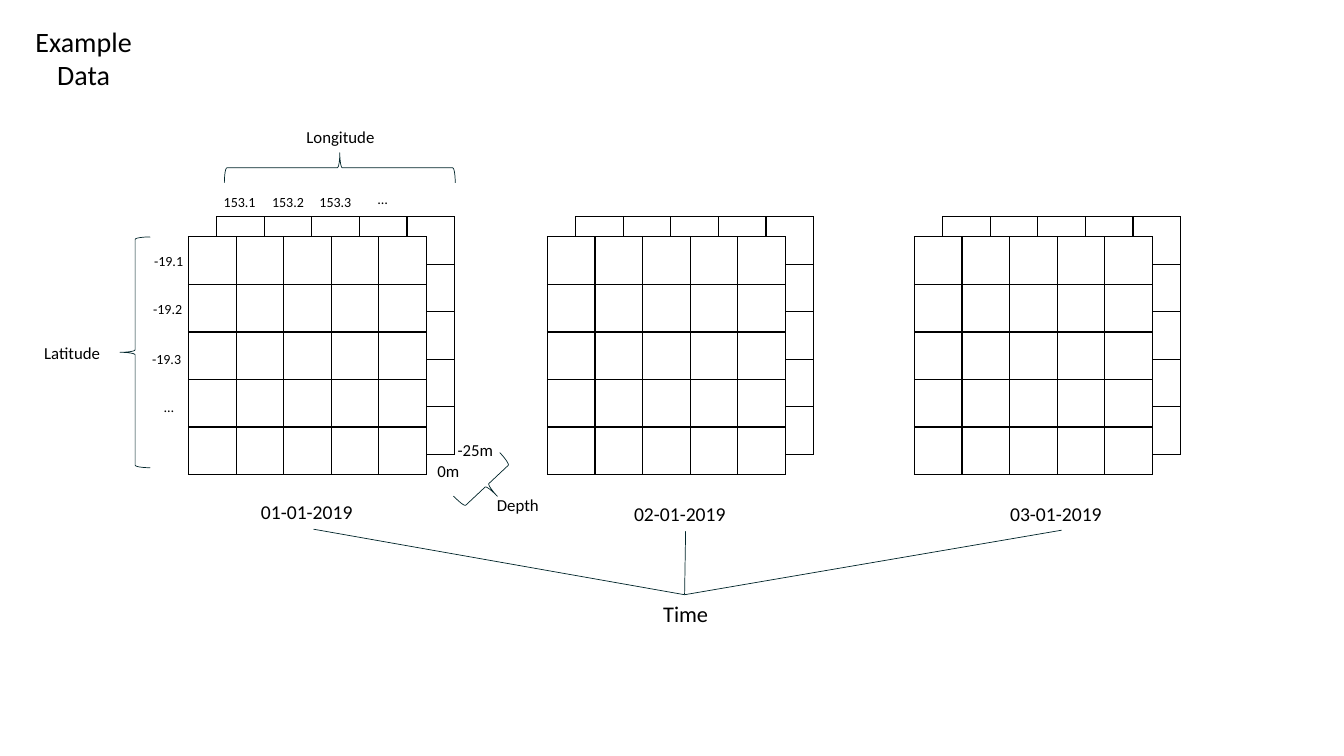
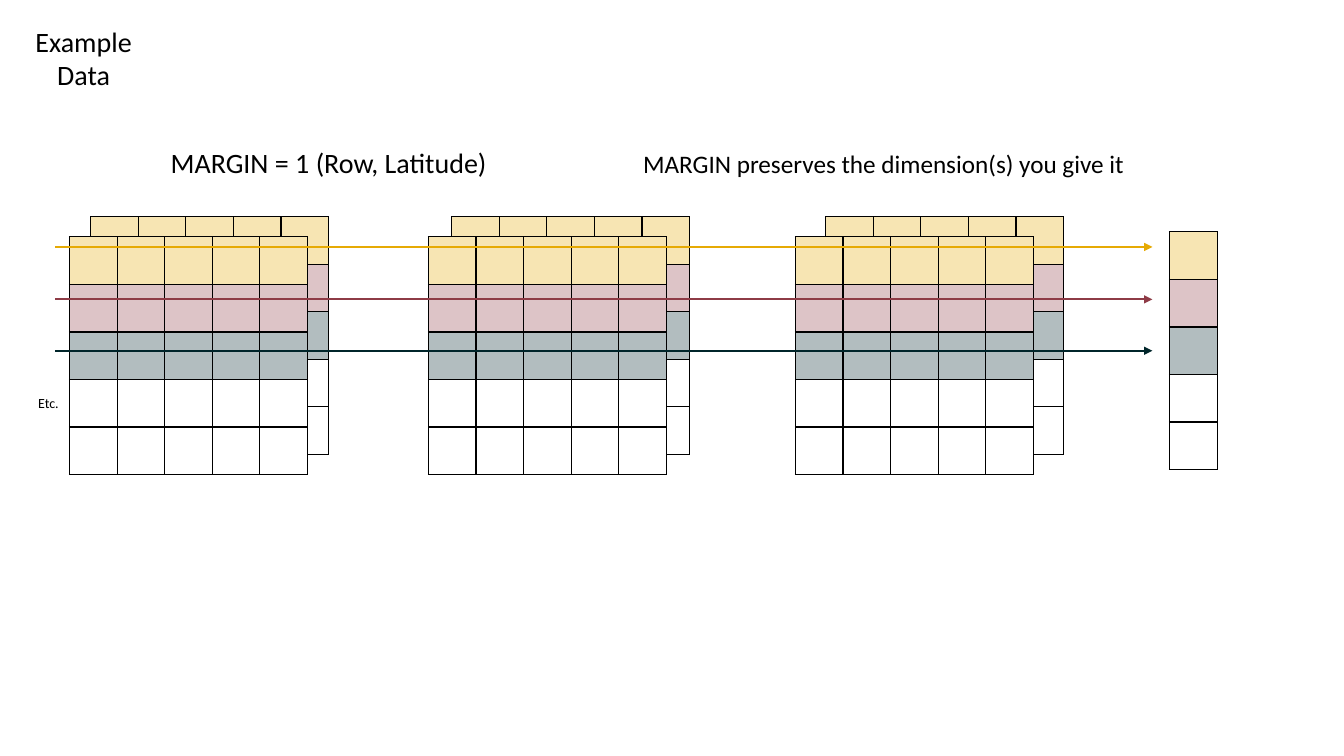
"""Build two slides that explain gridded example data and the MARGIN argument."""
from lxml.etree import SubElement
from pptx import Presentation
from pptx.dml.color import RGBColor as Rgb
from pptx.enum.shapes import MSO_CONNECTOR as Connector, MSO_SHAPE as Shape
from pptx.enum.text import MSO_AUTO_SIZE as AutoSize, PP_ALIGN as Align
from pptx.oxml.ns import qn
from pptx.util import Inches, Pt

COLORS = {
    "black": "000000", "white": "FFFFFF", "ink": "00252A",
    "gold": "E6AA04", "wine": "8E3B46",
    "pale_gold": "F7E5B3", "pale_wine": "DDC4C7", "pale_ink": "B2BDBF",
}
FONT = "Calibri"
SIZE = 5
GRID = 2.36
CELL = GRID / SIZE
BACK_TOP, FRONT_TOP = 2.15, 2.35
PLAIN_ROWS = ["white"] * SIZE
BAND_ROWS = ["pale_gold", "pale_wine", "pale_ink", "white", "white"]


def color(name):
    return Rgb.from_string(COLORS[name])


def apply_format(target, values):
    for name, value in values.items():
        setattr(target, name, value)


def add_text(slide, text, left, top, width, height, size, align=Align.LEFT):
    box = slide.shapes.add_textbox(
        Inches(left), Inches(top), Inches(width), Inches(height))
    frame = box.text_frame
    apply_format(frame, {"word_wrap": True, "auto_size": AutoSize.SHAPE_TO_FIT_TEXT})
    paragraph = frame.paragraphs[0]
    paragraph.alignment = align
    run = paragraph.add_run()
    run.text = text
    apply_format(run.font, {"name": FONT, "size": Pt(size)})
    run.font.color.rgb = color("black")


def add_title(slide):
    add_text(slide, "Example Data", 0.13, 0.19, 1.4, 0.77, 20, Align.CENTER)


def add_borders(cell):
    properties = cell._tc.get_or_add_tcPr()
    for side in ("lnL", "lnR", "lnT", "lnB"):
        border = SubElement(properties, qn(f"a:{side}"), w=str(Pt(1)))
        fill = SubElement(border, qn("a:solidFill"))
        SubElement(fill, qn("a:srgbClr"), val=COLORS["black"])


def add_grid(slide, left, top, row_colors, columns=SIZE, edges_only=False):
    table = slide.shapes.add_table(
        len(row_colors), columns, Inches(left), Inches(top),
        Inches(CELL * columns), Inches(GRID)).table
    apply_format(table, {"first_row": False, "horz_banding": False})
    for row, name in enumerate(row_colors):
        for column in range(columns):
            cell = table.cell(row, column)
            add_borders(cell)
            covered = edges_only and row > 0 and column < columns - 1
            cell.fill.solid()
            cell.fill.fore_color.rgb = color("white" if covered else name)


def add_stack(slide, back_left, front_left, row_colors):
    add_grid(slide, back_left, BACK_TOP, row_colors, edges_only=True)
    add_grid(slide, front_left, FRONT_TOP, row_colors)


def add_brace(slide, left, top, height, rotation):
    brace = slide.shapes.add_shape(
        Shape.RIGHT_BRACE, Inches(left), Inches(top), Inches(0.3), Inches(height))
    brace.rotation = rotation
    brace.shadow.inherit = False
    brace.fill.background()
    brace.line.color.rgb = color("ink")
    brace.line.width = Pt(0.5)


def add_line(slide, start, end, name, width, arrow=False):
    connector = slide.shapes.add_connector(
        Connector.STRAIGHT, *(Inches(value) for value in (*start, *end)))
    connector.line.color.rgb = color(name)
    connector.line.width = Pt(width)
    properties = connector._element.spPr
    if arrow:
        SubElement(properties.find(qn("a:ln")), qn("a:tailEnd"), type="triangle")
    SubElement(properties, qn("a:effectLst"))


def build_dimensions(slide):
    for front_left in (1.87, 5.43, 9.07):
        add_stack(slide, front_left + 0.28, front_left, PLAIN_ROWS)

    for text, left, top, width in (
            ("0m", 4.24, 4.52, 0.54), ("-25m", 4.44, 4.31, 0.82),
            ("Depth", 4.83, 4.86, 0.82), ("Latitude", 0.34, 3.35, 0.82),
            ("Longitude", 2.94, 1.21, 0.92)):
        add_text(slide, text, left, top, width, 0.3, 12)

    for text, left, top in (
            ("153.1", 2.12, 1.87), ("153.2", 2.6, 1.87), ("153.3", 3.07, 1.87),
            ("…", 3.65, 1.84), ("-19.1", 1.43, 2.46), ("-19.2", 1.42, 2.93),
            ("-19.3", 1.41, 3.43), ("…", 1.53, 3.9)):
        add_text(slide, text, left, top, 0.58, 0.27, 10)

    for left, top, height, rotation in (
            (3.22, 0.52, 2.29, 270), (1.19, 2.35, 2.29, 180),
            (4.68, 4.5, 0.63, 46.8)):
        add_brace(slide, left, top, height, rotation)

    add_text(slide, "Time", 6.39, 5.9, 0.82, 0.37, 16, Align.CENTER)
    for text, left, top, end in (
            ("01-01-2019", 2.49, 4.91, (3.11, 5.25)),
            ("02-01-2019", 6.19, 4.93, (6.8, 5.27)),
            ("03-01-2019", 9.92, 4.93, (10.53, 5.26))):
        add_text(slide, text, left, top, 1.23, 0.34, 14)
        add_line(slide, (6.79, 5.9), end, "ink", 0.5)


def build_margin(slide):
    for back_left, front_left in ((0.9, 0.69), (4.48, 4.25), (8.19, 7.89)):
        add_stack(slide, back_left, front_left, BAND_ROWS)
    add_grid(slide, 11.6, 2.3, BAND_ROWS, columns=1)

    for name, top in (("gold", 2.45), ("wine", 2.97), ("ink", 3.48)):
        add_line(slide, (0.55, top), (11.43, top), name, 1.5, arrow=True)

    add_text(slide, "MARGIN = 1 (Row, Latitude)",
             1.37, 1.39, 3.78, 0.44, 20, Align.CENTER)
    add_text(slide, "MARGIN preserves the dimension(s) you give it",
             6.28, 1.42, 5.06, 0.4, 18)
    add_text(slide, "Etc.", 0.28, 3.86, 0.58, 0.27, 10)


def main():
    presentation = Presentation()
    apply_format(presentation, {"slide_width": Inches(13.33),
                                "slide_height": Inches(7.5)})
    for build in (build_dimensions, build_margin):
        slide = presentation.slides.add_slide(presentation.slide_layouts[6])
        add_title(slide)
        build(slide)
    presentation.save("out.pptx")


if __name__ == "__main__":
    main()
